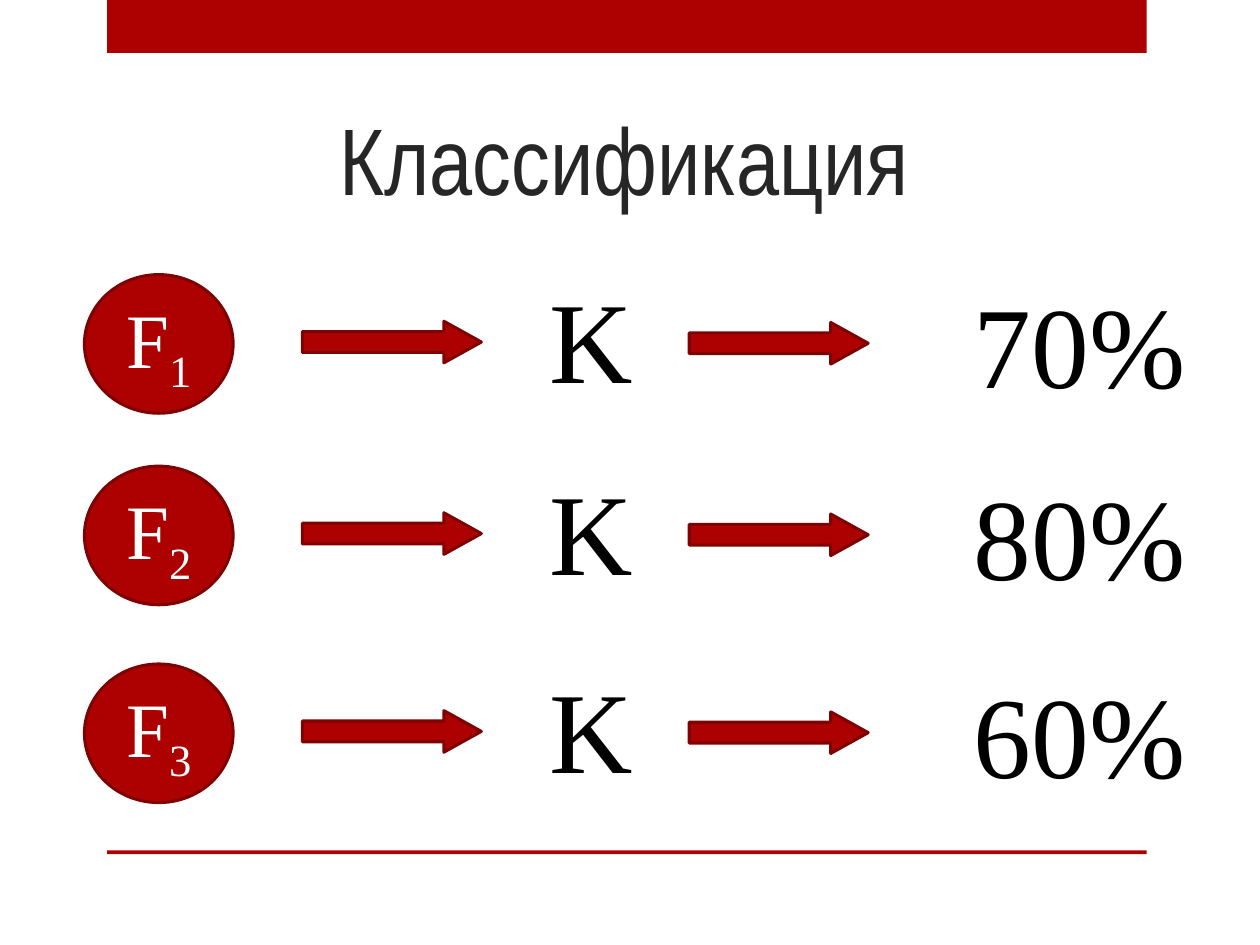
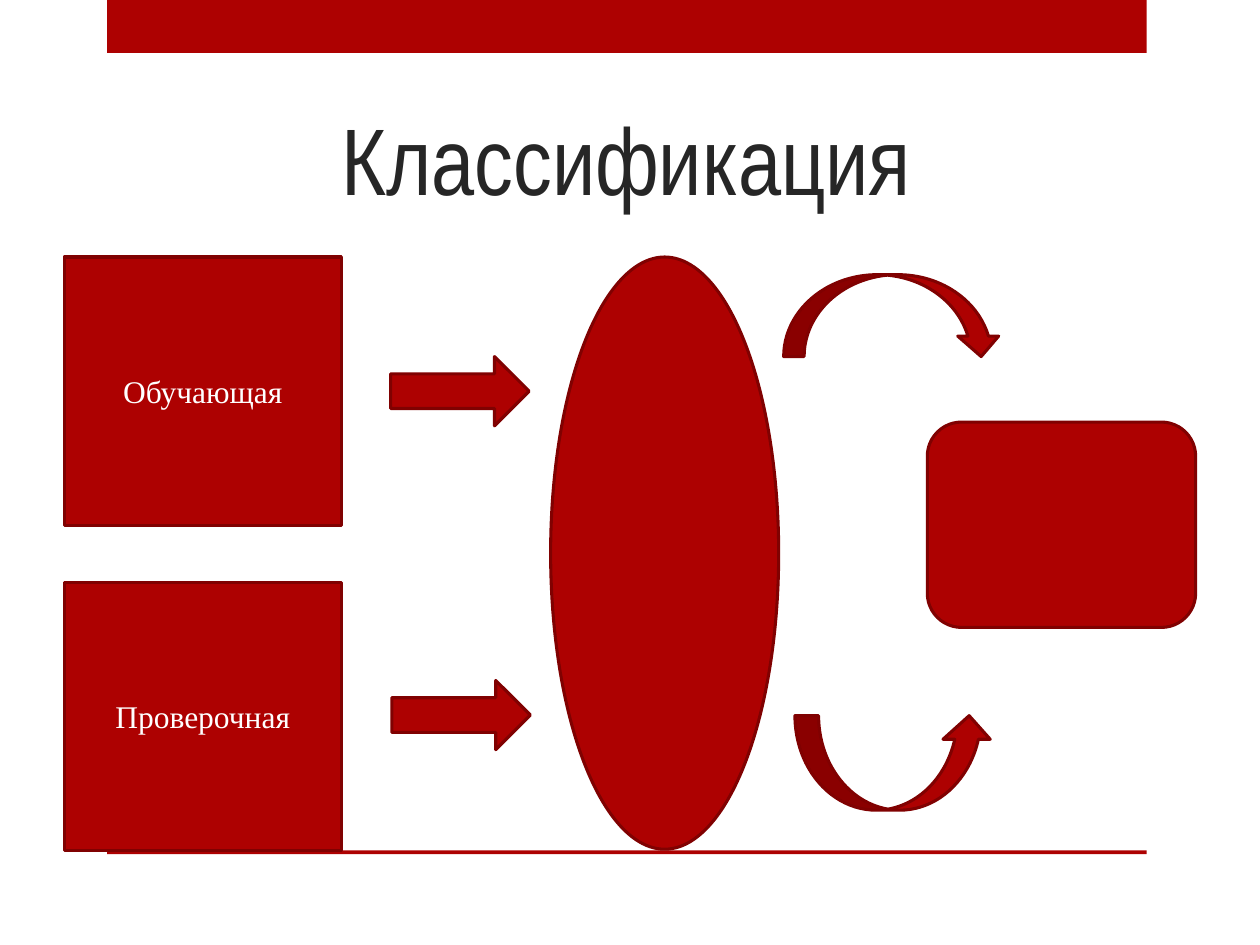
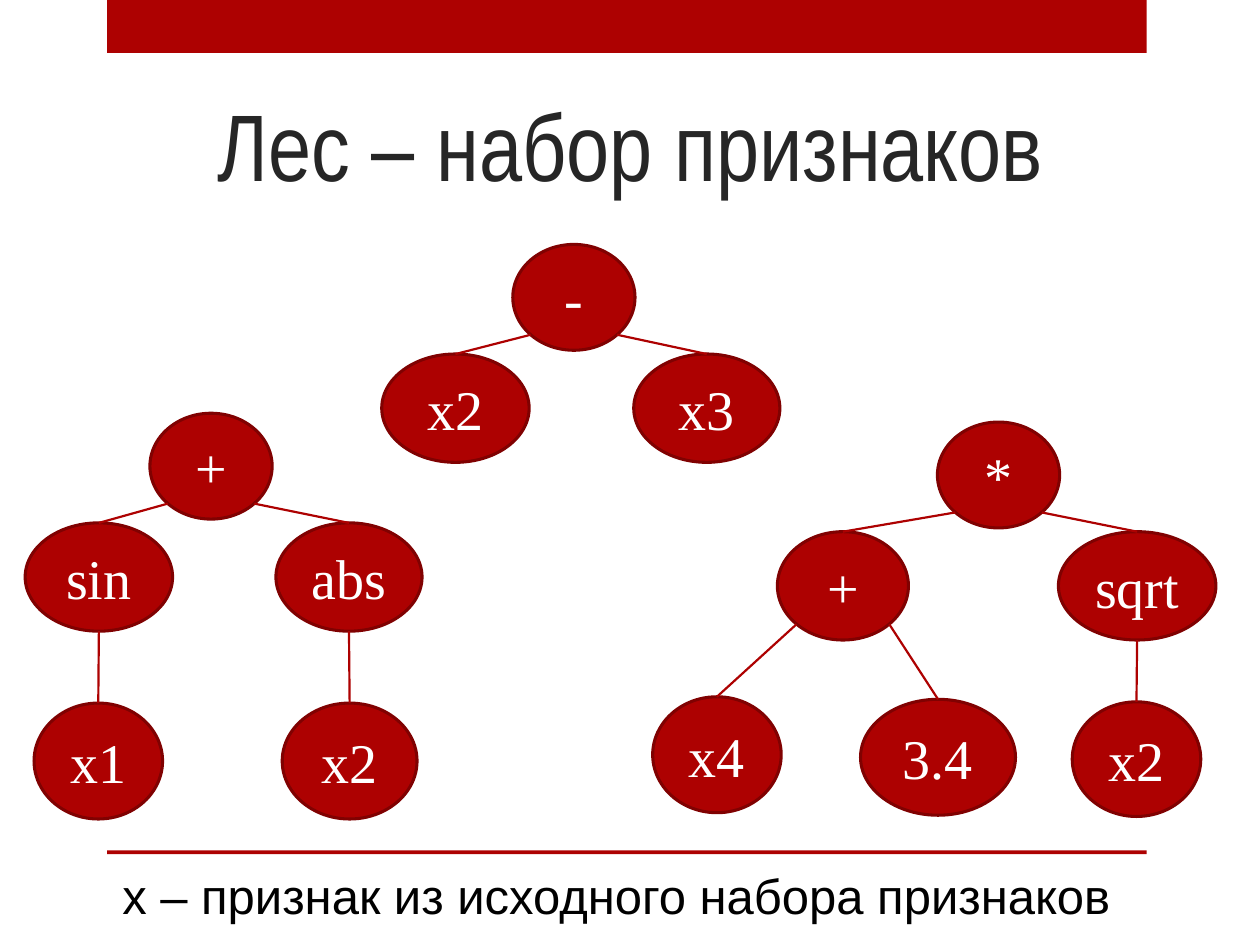
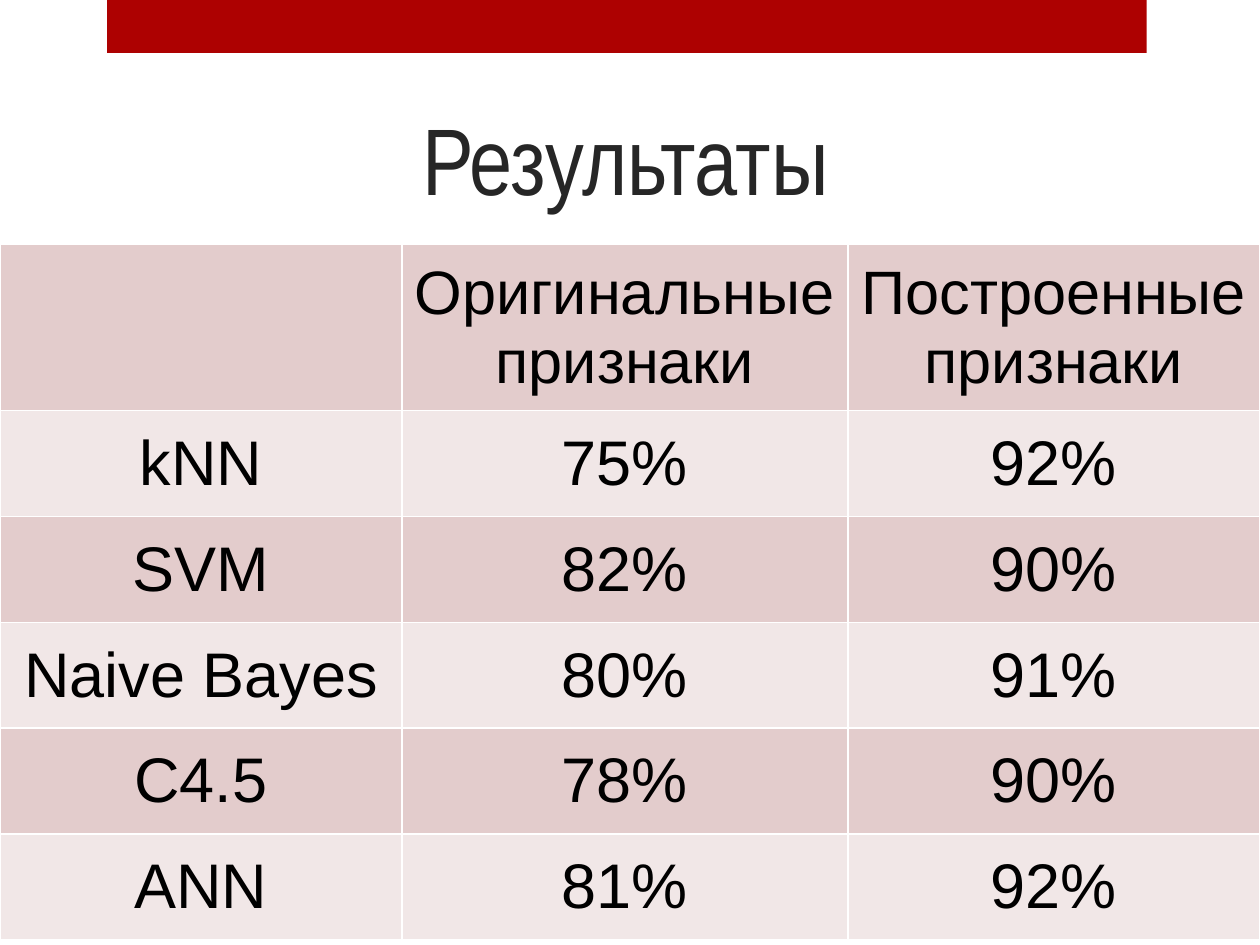
"""Four slides on classification with constructed features."""
from dataclasses import dataclass
from typing import NamedTuple

from lxml.etree import SubElement
from pptx import Presentation
from pptx.dml.color import RGBColor
from pptx.enum.shapes import MSO_CONNECTOR, MSO_SHAPE as Preset
from pptx.enum.text import MSO_ANCHOR as Anchor, PP_ALIGN as Align
from pptx.oxml.ns import qn
from pptx.util import Pt

EMU_PER_PX = 9144
RED = RGBColor(0xAD, 0x01, 0x01)
DARK_RED = RGBColor(0x80, 0x01, 0x01)
CHARCOAL = RGBColor(0x26, 0x26, 0x26)
BLACK = RGBColor(0x00, 0x00, 0x00)
WHITE = RGBColor(0xFF, 0xFF, 0xFF)
ROSE = RGBColor(0xE3, 0xCC, 0xCC)
PALE_ROSE = RGBColor(0xF1, 0xE7, 0xE7)
SERIF, SANS, NARROW = "Times New Roman", "Arial", "Arial Narrow"
DIAGONAL = 0.5 ** 0.5


class Box(NamedTuple):
    left: int
    top: int
    width: int
    height: int

    def emu(self) -> list[int]:
        return [px(length) for length in self]


class TextStyle(NamedTuple):
    face: str
    size: int
    color: RGBColor


@dataclass(frozen=True)
class Block:
    preset: Preset
    box: Box
    label: str = ""


@dataclass(frozen=True)
class Node:
    label: str
    box: Box
    children: tuple["Node", ...] = ()


@dataclass(frozen=True)
class FeatureRow:
    index: str
    top: int
    accuracy: str


TITLE = TextStyle(NARROW, 54, CHARCOAL)
FEATURE = TextStyle(SERIF, 44, WHITE)
FORMULA = TextStyle(SERIF, 66, BLACK)
SAMPLE = TextStyle(SERIF, 18, WHITE)
NODE = TextStyle(SERIF, 32, WHITE)
NOTE = TextStyle(SANS, 28, BLACK)
HEADING = TextStyle(SANS, 35, BLACK)
RESULT = TextStyle(SANS, 36, BLACK)

BANDS = [Box(85, 0, 825, 42), Box(85, 675, 825, 3)]

FEATURE_ROWS = [
    FeatureRow("1", 218, "70%"),
    FeatureRow("2", 370, "80%"),
    FeatureRow("3", 527, "60%"),
]

SAMPLE_BLOCKS = [
    Block(Preset.RECTANGLE, Box(51, 204, 220, 213), "Обучающая"),
    Block(Preset.RECTANGLE, Box(51, 462, 220, 213), "Проверочная"),
    Block(Preset.OVAL, Box(437, 204, 181, 470)),
    Block(Preset.RIGHT_ARROW, Box(310, 283, 110, 55)),
    Block(Preset.RIGHT_ARROW, Box(311, 540, 110, 55)),
    Block(Preset.FLOWCHART_ALTERNATE_PROCESS, Box(736, 335, 213, 163)),
    Block(Preset.CURVED_DOWN_ARROW, Box(622, 218, 173, 65)),
    Block(Preset.CURVED_UP_ARROW, Box(631, 568, 157, 75)),
]

FOREST = [
    Node("+", Box(119, 328, 97, 84), (
        Node("sin", Box(20, 415, 117, 86), (Node("x1", Box(27, 558, 102, 92)),)),
        Node("abs", Box(219, 415, 116, 86), (Node("x2", Box(224, 558, 107, 92)),)),
    )),
    Node("*", Box(744, 335, 97, 84), (
        Node("+", Box(617, 422, 104, 86), (
            Node("x4", Box(518, 553, 102, 92)),
            Node("3.4", Box(683, 555, 123, 92)),
        )),
        Node("sqrt", Box(840, 422, 125, 86), (Node("x2", Box(851, 557, 102, 91)),)),
    )),
    Node("-", Box(407, 194, 97, 84), (
        Node("x2", Box(303, 281, 117, 86)),
        Node("x3", Box(503, 281, 116, 86)),
    )),
]

RESULTS = [
    ("", "Оригинальные признаки", "Построенные признаки"),
    ("kNN", "75%", "92%"),
    ("SVM", "82%", "90%"),
    ("Naive Bayes", "80%", "91%"),
    ("C4.5", "78%", "90%"),
    ("ANN", "81%", "92%"),
]
RESULT_WIDTHS = [319, 354, 327]
HEADING_HEIGHT, RESULT_HEIGHT = 132, 84


def px(length: float) -> int:
    return round(length * EMU_PER_PX)


def write(frame, text: str, style: TextStyle, subscript: str = "") -> None:
    line = frame.paragraphs[0]
    line.alignment = Align.CENTER
    line.font.name = style.face
    line.font.size = Pt(style.size)
    line.font.color.rgb = style.color
    line.add_run().text = text
    if subscript:
        index = line.add_run()
        index.text = subscript
        index._r.get_or_add_rPr().set("baseline", "-25000")


def add_text(slide, box: Box, text: str, style: TextStyle, anchor=Anchor.TOP) -> None:
    frame = slide.shapes.add_textbox(*box.emu()).text_frame
    frame.word_wrap = True
    frame.vertical_anchor = anchor
    write(frame, text, style)


def add_block(slide, block: Block, style: TextStyle = SAMPLE, subscript: str = ""):
    figure = slide.shapes.add_shape(block.preset, *block.box.emu())
    figure.shadow.inherit = False
    figure.fill.solid()
    figure.fill.fore_color.rgb = RED
    figure.line.color.rgb = DARK_RED
    figure.line.width = Pt(1.75)
    if block.label:
        figure.text_frame.word_wrap = False
        figure.text_frame.vertical_anchor = Anchor.MIDDLE
        write(figure.text_frame, block.label, style, subscript)
    return figure


def add_slide(deck, title: str, title_box: Box):
    slide = deck.slides.add_slide(deck.slide_layouts[6])
    for box in BANDS:
        band = slide.shapes.add_shape(Preset.RECTANGLE, *box.emu())
        band.shadow.inherit = False
        band.fill.solid()
        band.fill.fore_color.rgb = RED
        band.line.fill.background()
    add_text(slide, title_box, title, TITLE, Anchor.BOTTOM)
    return slide


def add_feature_row(slide, row: FeatureRow) -> None:
    feature = Block(Preset.OVAL, Box(67, row.top, 118, 110), "F")
    add_block(slide, feature, FEATURE, row.index)
    for left, drop in ((547, 38), (240, 37)):
        arrow = add_block(slide, Block(Preset.RIGHT_ARROW, Box(left, row.top + drop, 142, 33)))
        arrow.adjustments[1] = 0.9
    add_text(slide, Box(421, row.top - 10, 97, 121), "K", FORMULA)
    add_text(slide, Box(757, row.top - 6, 200, 121), row.accuracy, FORMULA)


def add_link(slide, start: tuple[float, float], child) -> None:
    x, y = map(px, start)
    link = slide.shapes.add_connector(MSO_CONNECTOR.STRAIGHT, x, y, x, y)
    link.end_connect(child, 0)
    link.line.color.rgb = RED
    link.line.width = Pt(1.25)
    SubElement(link._element.spPr, qn("a:effectLst"))


def add_tree(slide, node: Node):
    """Draw a node and its subtrees, with links from the lower edge of the node."""
    oval = add_block(slide, Block(Preset.OVAL, node.box, node.label), NODE)
    left, top, width, height = node.box
    sides = (-DIAGONAL, DIAGONAL) if len(node.children) == 2 else (0,)
    for side, child in zip(sides, node.children):
        drop = (1 - side ** 2) ** 0.5
        start = left + width * (1 + side) / 2, top + height * (1 + drop) / 2
        add_link(slide, start, add_tree(slide, child))
    return oval


def add_cell_borders(cell) -> None:
    properties = cell._tc.get_or_add_tcPr()
    for position, side in enumerate(("a:lnL", "a:lnR", "a:lnT", "a:lnB")):
        border = SubElement(properties, qn(side), w=str(Pt(1)))
        fill = SubElement(border, qn("a:solidFill"))
        SubElement(fill, qn("a:srgbClr"), val=str(WHITE))
        properties.insert(position, border)


def add_results(slide) -> None:
    height = HEADING_HEIGHT + RESULT_HEIGHT * (len(RESULTS) - 1)
    box = Box(0, 194, sum(RESULT_WIDTHS), height)
    table = slide.shapes.add_table(len(RESULTS), len(RESULT_WIDTHS), *box.emu()).table
    for column, width in zip(table.columns, RESULT_WIDTHS):
        column.width = px(width)
    for number, values in enumerate(RESULTS):
        table.rows[number].height = px(RESULT_HEIGHT if number else HEADING_HEIGHT)
        for column, value in enumerate(values):
            cell = table.cell(number, column)
            cell.fill.solid()
            cell.fill.fore_color.rgb = PALE_ROSE if number % 2 else ROSE
            cell.vertical_anchor = Anchor.MIDDLE
            add_cell_borders(cell)
            if value:
                write(cell.text_frame, value, RESULT if number else HEADING)


def main() -> None:
    deck = Presentation()
    deck.slide_width, deck.slide_height = px(1000), px(750)

    features = add_slide(deck, "Классификация", Box(83, 0, 825, 175))
    for row in FEATURE_ROWS:
        add_feature_row(features, row)

    samples = add_slide(deck, "Классификация", Box(86, 0, 822, 175))
    for block in SAMPLE_BLOCKS:
        add_block(samples, block)

    forest = add_slide(deck, "Лес – набор признаков", Box(99, 36, 803, 128))
    for tree in FOREST:
        add_tree(forest, tree)
    add_text(forest, Box(75, 682, 828, 57), "x – признак из исходного набора признаков", NOTE)

    results = add_slide(deck, "Результаты", Box(84, 0, 825, 175))
    add_results(results)

    deck.save("out.pptx")


if __name__ == "__main__":
    main()
